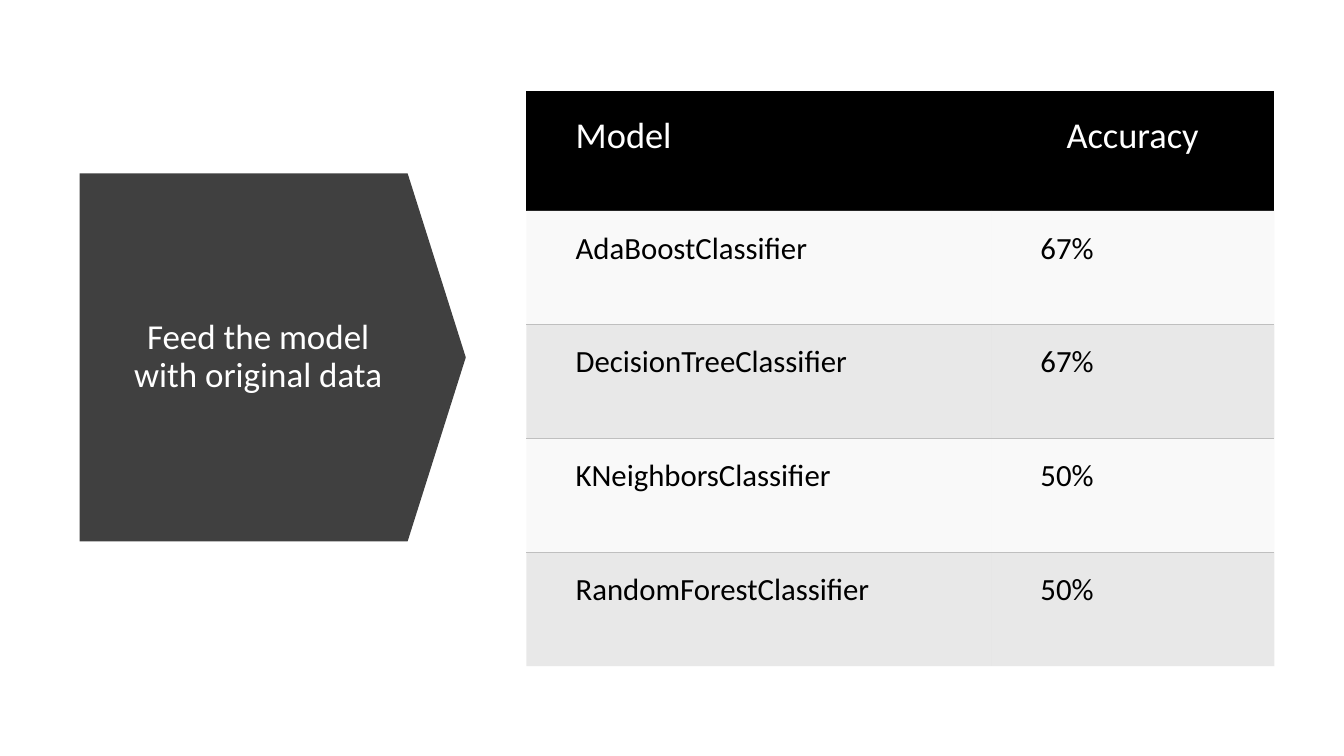
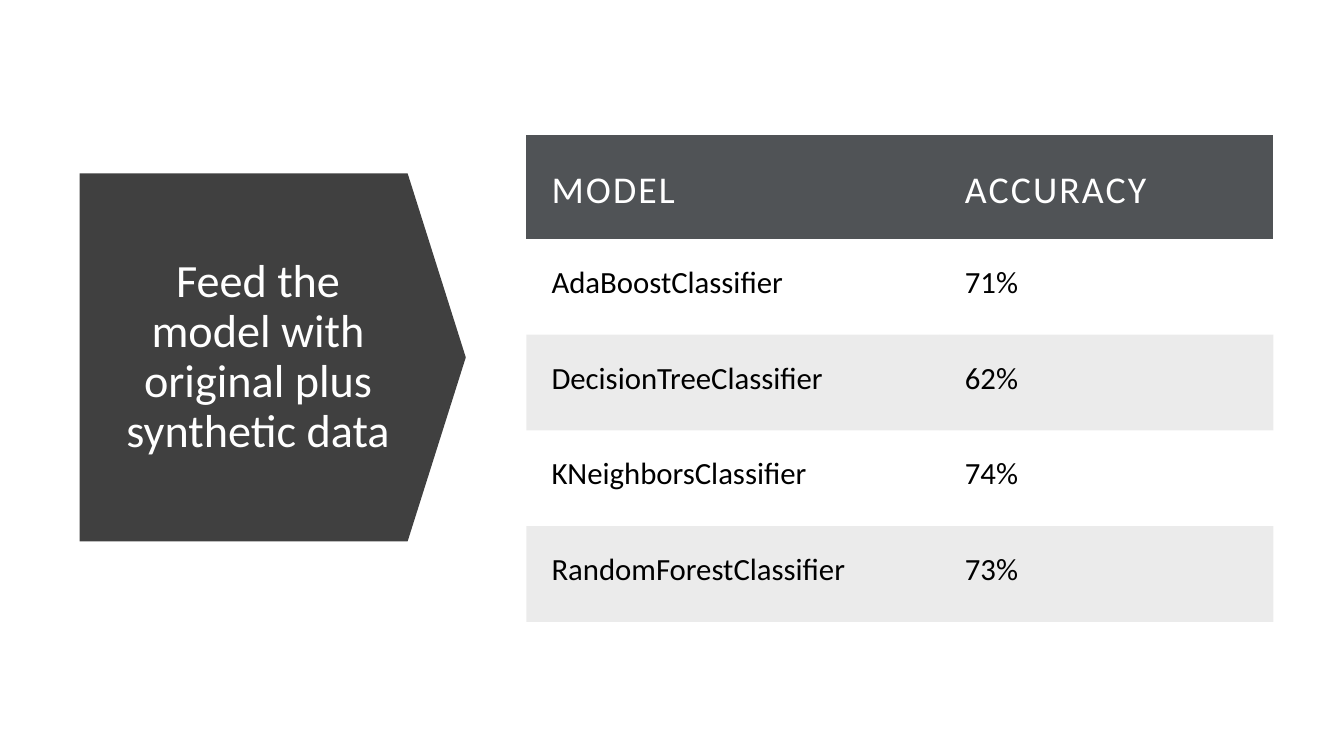
from lxml.etree import SubElement
from pptx import Presentation
from pptx.dml.color import RGBColor
from pptx.enum.shapes import MSO_SHAPE
from pptx.enum.text import MSO_ANCHOR, MSO_AUTO_SIZE, PP_ALIGN
from pptx.oxml import parse_xml
from pptx.oxml.ns import nsdecls, qn
from pptx.util import Inches, Pt

COLOURS = {
    "arrow": "404040",
    "white": "FFFFFF",
    "black": "000000",
    "slate": "505356",
    "pale": "F2F2F2",
    "grey": "BFBFBF",
}
FONT = "Calibri"
NO_STYLE = "{2D5ABB26-0587-4C30-8999-92F81FD0307C}"
ARROW_BOX = (0.88, 1.63, 3.65, 3.83)
MODELS = [
    "AdaBoostClassifier",
    "DecisionTreeClassifier",
    "KNeighborsClassifier",
    "RandomForestClassifier",
]

# Row fills are (colour, opacity in percent); None leaves the row clear.
RULED = {
    "columns": (4.61, 2.81), "header_height": 1.19, "row_height": 1.13,
    "margins": (0.49, 0.19, 0.49, 0.49),
    "header_fill": ("black", 100), "row_fills": (("pale", 45), ("grey", 35)),
    "header_size": 26, "header_anchor": MSO_ANCHOR.MIDDLE, "spacing": 0,
    "header_aligns": (PP_ALIGN.JUSTIFY, PP_ALIGN.CENTER), "rule": "grey",
}
BANDED = {
    "columns": (4.1, 3.31), "header_height": 1.03, "row_height": 0.95,
    "margins": (0.25, 0.25, 0.25, 0.25),
    "header_fill": ("slate", 100), "row_fills": (None, ("black", 8)),
    "header_size": 27, "header_anchor": MSO_ANCHOR.BOTTOM, "spacing": 1.5,
    "header_aligns": (PP_ALIGN.JUSTIFY, PP_ALIGN.JUSTIFY), "rule": None,
}


def colour(name):
    return RGBColor.from_string(COLOURS[name])


def set_all(target, values):
    for name, value in values.items():
        setattr(target, name, value)


def write(frame, text, size, ink, align, spacing=0):
    """Put one formatted paragraph into a text frame."""
    para = frame.paragraphs[0]
    para.alignment = align
    span = para.add_run()
    span.text = text
    set_all(span.font, {"name": FONT, "size": Pt(size), "bold": False})
    span.font.color.rgb = colour(ink)
    if spacing:
        span.font._element.set("spc", str(round(spacing * 100)))
    return para


def paint(cell, fill):
    if fill is None:
        cell.fill.background()
        return
    name, opacity = fill
    cell.fill.solid()
    cell.fill.fore_color.rgb = colour(name)
    if opacity < 100:
        tint = cell._tc.tcPr.find(".//" + qn("a:srgbClr"))
        SubElement(tint, qn("a:alpha"), val=str(opacity * 1000))


def rule_edge(cell, edge, name):
    """Draw a one-point line on the edge lnT or lnB of a cell."""
    line = parse_xml(
        f'<a:{edge} {nsdecls("a")} w="12700"><a:solidFill>'
        f'<a:srgbClr val="{COLOURS[name]}"/></a:solidFill></a:{edge}>'
    )
    cell._tc.get_or_add_tcPr().insert(0, line)


def add_title_arrow(page, box, text, size):
    left, top, width, height = box
    arrow = page.shapes.add_shape(MSO_SHAPE.DOWN_ARROW, *map(Inches, box))
    arrow.rotation = 270
    arrow.adjustments[0] = 1
    arrow.adjustments[1] = 0.158
    arrow.shadow.inherit = False
    arrow.fill.solid()
    arrow.fill.fore_color.rgb = colour("arrow")
    arrow.line.fill.background()

    title = page.shapes.title
    set_all(title, {
        "left": Inches(left + 0.24), "top": Inches(top + 0.52),
        "width": Inches(width - 0.77), "height": Inches(height - 1.04),
    })
    set_all(title.text_frame, {
        "word_wrap": True, "auto_size": MSO_AUTO_SIZE.NONE,
        "vertical_anchor": MSO_ANCHOR.MIDDLE,
    })
    para = write(title.text_frame, text, size, "white", PP_ALIGN.CENTER)
    para.line_spacing = 0.9
    page.shapes.element.append(title.element)  # bring in front of the arrow


def add_accuracy_table(page, left, top, style, header, accuracies):
    rows = [header, *zip(MODELS, accuracies)]
    heights = [style["header_height"]] + [style["row_height"]] * len(MODELS)
    frame = page.shapes.add_table(
        len(rows), len(header), Inches(left), Inches(top),
        Inches(sum(style["columns"])), Inches(sum(heights)),
    )
    table = frame.table
    set_all(table, {"first_row": False, "horz_banding": False})
    frame.element.find(".//" + qn("a:tableStyleId")).text = NO_STYLE
    for column, width in zip(table.columns, style["columns"]):
        column.width = Inches(width)
    for index, (values, height) in enumerate(zip(rows, heights)):
        table.rows[index].height = Inches(height)
        for place, value in enumerate(values):
            cell = table.cell(index, place)
            sides = ("left", "top", "right", "bottom")
            set_all(cell, {f"margin_{side}": Inches(margin)
                           for side, margin in zip(sides, style["margins"])})
            if index == 0:
                cell.vertical_anchor = style["header_anchor"]
                paint(cell, style["header_fill"])
                write(cell.text_frame, value, style["header_size"], "white",
                      style["header_aligns"][place], style["spacing"])
                continue
            shaded = index % 2 == 0
            cell.vertical_anchor = MSO_ANCHOR.TOP
            paint(cell, style["row_fills"][shaded])
            write(cell.text_frame, value, 22, "black", PP_ALIGN.JUSTIFY)
            if style["rule"]:
                rule_edge(cell, "lnT" if shaded else "lnB", style["rule"])


def add_result_page(deck, title, title_size, table_top, style, header, accuracies):
    page = deck.slides.add_slide(deck.slide_layouts[5])
    add_title_arrow(page, ARROW_BOX, title, title_size)
    add_accuracy_table(page, 5.22, table_top, style, header, accuracies)


def main():
    deck = Presentation()
    set_all(deck, {"slide_width": Inches(13.33), "slide_height": Inches(7.5)})
    add_result_page(deck, "Feed the model with original data", 25, 0.9, RULED,
                    ("Model", "Accuracy"), ("67%", "67%", "50%", "50%"))
    add_result_page(deck, "Feed the model with original plus synthetic data", 33,
                    1.34, BANDED, ("MODEL", "ACCURACY"),
                    ("71%", "62%", "74%", "73%"))
    deck.save("out.pptx")


if __name__ == "__main__":
    main()
